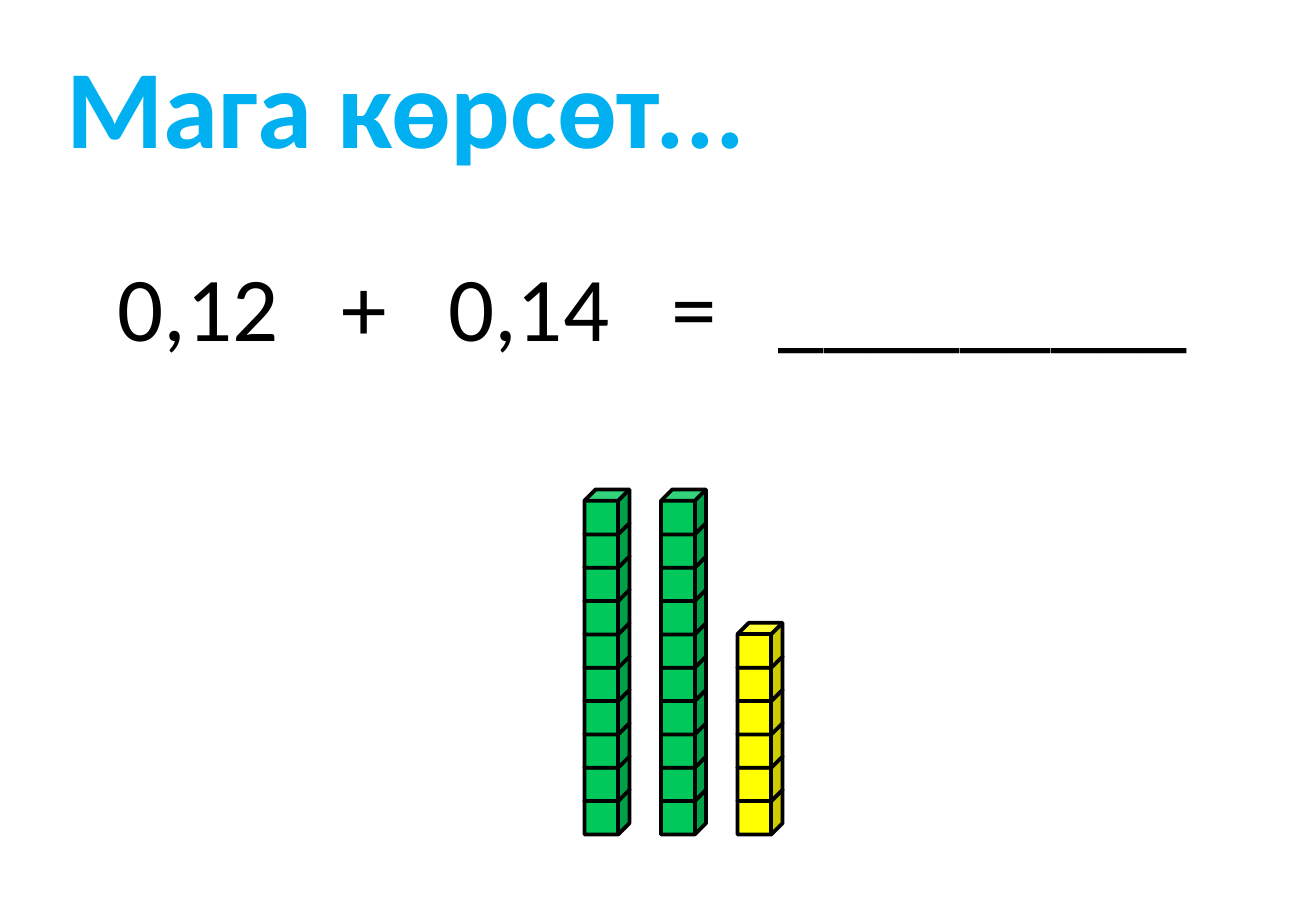
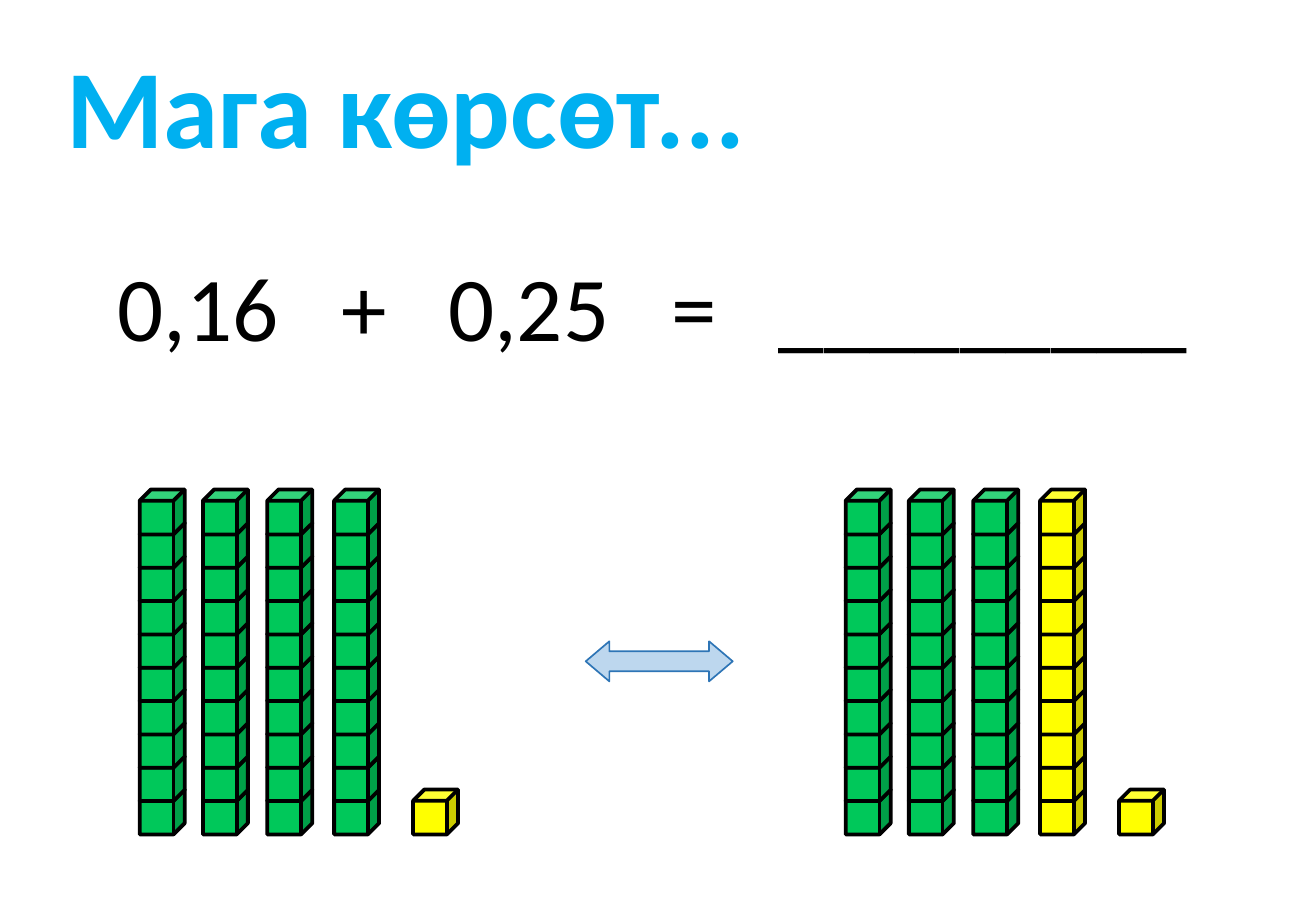
from pptx import Presentation
from pptx.dml.color import RGBColor
from pptx.enum.shapes import MSO_SHAPE
from pptx.enum.text import MSO_ANCHOR, MSO_AUTO_SIZE
from pptx.util import Inches, Pt
from lxml.etree import SubElement
from pptx.oxml.ns import qn

HUES = {
    "title": "00B0F0",
    "ink": "000000",
    "green": "00C85A",
    "yellow": "FFFF00",
    "arrow": "BDD7EE",
    "edge": "2E75B6",
}
FONTS = {
    "title": {"name": "Calibri", "size": Pt(66), "bold": True},
    "sum": {"name": "Calibri", "size": Pt(54), "bold": False},
}
FRAME = {
    "word_wrap": True,
    "auto_size": MSO_AUTO_SIZE.SHAPE_TO_FIT_TEXT,
    "vertical_anchor": MSO_ANCHOR.TOP,
}
TABS = (1.84, 2.72, 4.56, 5.44)
SIDE = 0.37
BASE = 6.5
STEP = (BASE - 4.03) / 9


def apply(item, style):
    for key, value in style.items():
        setattr(item, key, value)


def hue(name):
    return RGBColor.from_string(HUES[name])


class Deck:
    def __init__(self):
        self.prs = Presentation()
        apply(self.prs, {"slide_width": Inches(10.83), "slide_height": Inches(7.5)})
        self.slide = None

    def page(self, terms):
        self.slide = self.prs.slides.add_slide(self.prs.slide_layouts[6])
        self.text("Мага көрсөт...", (0.45, 0.26, 7.33, 1.21), "title", "title")
        left, right = terms
        line = "\t".join((left, "+", right, "=", "_" * 9))
        self.text(line, (0.87, 2.01, 9.1, 1.01), "sum", "ink", TABS)

    def text(self, words, box, font, color, tabs=()):
        frame = self.slide.shapes.add_textbox(*map(Inches, box)).text_frame
        apply(frame, FRAME)
        para = frame.paragraphs[0]
        para.text = words
        if tabs:
            stops = SubElement(para._p.get_or_add_pPr(), qn("a:tabLst"))
            for stop in tabs:
                SubElement(stops, qn("a:tab"), pos=str(Inches(stop)), algn="l")
        apply(para.font, FONTS[font])
        para.font.color.rgb = hue(color)

    def shape(self, home, kind, box, fill, edge, width):
        item = home.add_shape(kind, *map(Inches, box))
        item.shadow.inherit = False
        item.fill.solid()
        item.fill.fore_color.rgb = hue(fill)
        item.line.color.rgb = hue(edge)
        item.line.width = Pt(width)
        return item

    def tower(self, left, count, fill):
        home = self.slide.shapes
        if count > 1:
            home = home.add_group_shape().shapes
        for row in range(count):
            box = (left, BASE - row * STEP, SIDE, SIDE)
            self.shape(home, MSO_SHAPE.CUBE, box, fill, "ink", 2.25)

    def arrow(self, box):
        item = self.shape(self.slide.shapes, MSO_SHAPE.LEFT_RIGHT_ARROW,
                          box, "arrow", "edge", 1)
        item.adjustments[0] = 0.5
        item.adjustments[1] = 0.59


def main():
    deck = Deck()

    deck.page(("0,12", "0,14"))
    stacks = ((10, "green"), (10, "green"), (6, "yellow"))
    for spot, (count, fill) in enumerate(stacks):
        deck.tower(4.81 + spot * 0.63, count, fill)

    deck.page(("0,16", "0,25"))
    for left, last in ((1.15, "green"), (6.96, "yellow")):
        for shift in (0, 0.52, 1.05):
            deck.tower(left + shift, 10, "green")
        deck.tower(left + 1.6, 10, last)
        deck.tower(left + 2.25, 1, "yellow")
    deck.arrow((4.82, 5.28, 1.21, 0.33))

    deck.prs.save("out.pptx")


if __name__ == "__main__":
    main()
